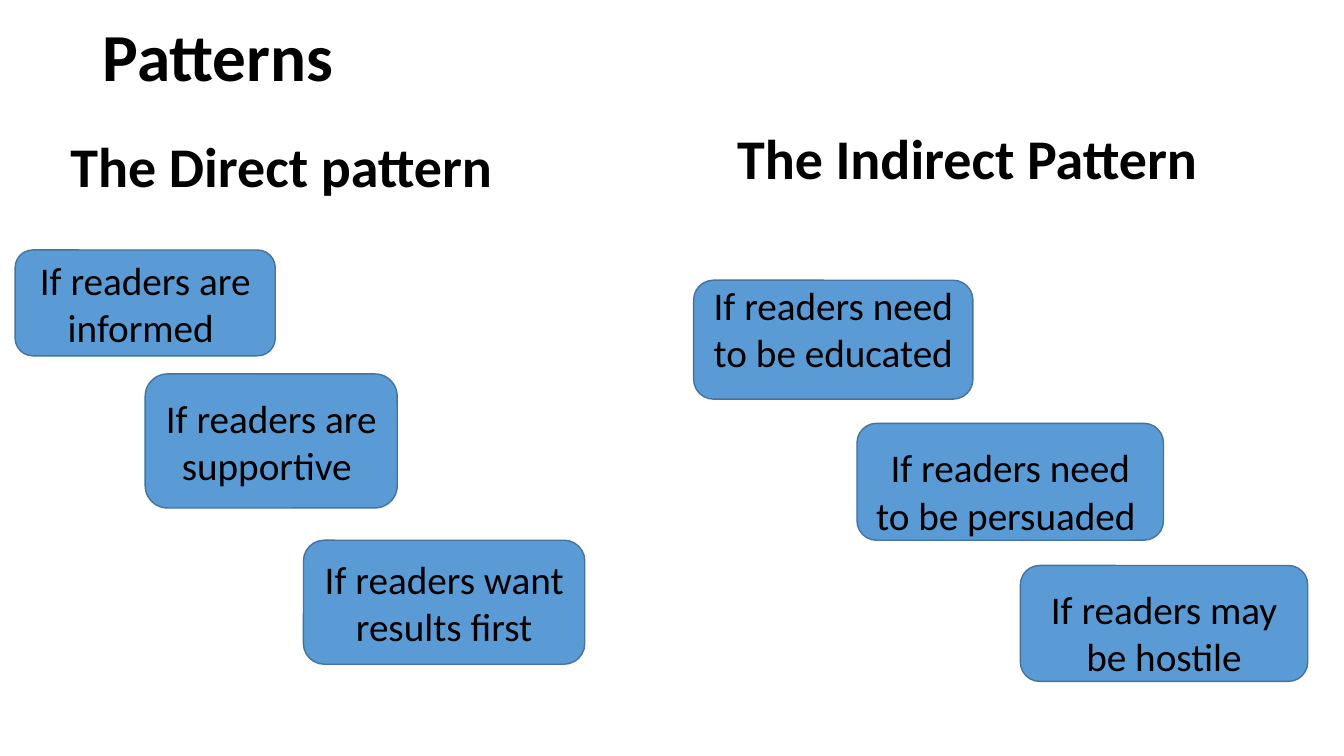
from pptx import Presentation
from pptx.dml.color import RGBColor
from pptx.enum.shapes import MSO_SHAPE
from pptx.enum.text import MSO_ANCHOR, PP_ALIGN
from pptx.util import Pt

PX = 9144
BLACK, BLUE, EDGE = "000000", "5B9BD5", "43739E"


def px(*sizes):
    """Turn px lengths into EMU."""
    return [size * PX for size in sizes]


def color(hue):
    """Turn a hex string into a colour."""
    return RGBColor.from_string(hue)


def write(frame, text, size, align, bold=False):
    """Fill a text frame with one paragraph."""
    frame.word_wrap = True
    para = frame.paragraphs[0]
    para.text = text
    para.alignment = align
    font = para.font
    font.name, font.size, font.bold = "Calibri", Pt(size), bold
    font.color.rgb = color(BLACK)
    return para


def heading(slide, box, text, size, align, anchor):
    """Place a bold heading in its box."""
    frame = slide.shapes.add_textbox(*px(*box)).text_frame
    frame.vertical_anchor = anchor
    write(frame, text, size, align, True).line_spacing = 0.9


def card(slide, box, text, top, bottom):
    """Place a rounded card with the given vertical insets."""
    shape = slide.shapes.add_shape(MSO_SHAPE.ROUNDED_RECTANGLE, *px(*box))
    shape.shadow.inherit = False
    shape.fill.solid()
    shape.fill.fore_color.rgb = color(BLUE)
    shape.line.color.rgb = color(EDGE)
    shape.line.width = Pt(1)
    frame = shape.text_frame
    frame.vertical_anchor = MSO_ANCHOR.MIDDLE
    frame.margin_top, frame.margin_bottom = px(top, bottom)
    write(frame, text, 28, PP_ALIGN.CENTER)


def pattern(slide, box, title, cards):
    """Place a pattern's heading and its steps relative to the box."""
    left, top, width, height = box
    heading(slide, box, title, 40, PP_ALIGN.CENTER, MSO_ANCHOR.TOP)
    for (x, y, w, h), text, over, under in cards:
        card(slide, (left + x, top + y, w, h), text, over, under)


def main():
    """Build the slide and save it."""
    deck = Presentation()
    deck.slide_width, deck.slide_height = px(1333, 750)
    slide = deck.slides.add_slide(deck.slide_layouts[6])
    heading(slide, (92, 40, 1150, 39), "Patterns", 48,
            PP_ALIGN.LEFT, MSO_ANCHOR.MIDDLE)
    pattern(slide, (-22, 133, 602, 62), "The Direct pattern", [
        ((37, 115, 258, 105), "If readers are informed ", 5, 5),
        ((166, 238, 250, 133), "If readers are supportive ", 5, 5),
        ((323, 403, 279, 123), "If readers want results first", 5, 5),
    ])
    pattern(slide, (667, 125, 597, 77), "The Indirect Pattern ", [
        ((21, 153, 277, 118), "If readers need to be educated ", 0, 23),
        ((183, 295, 304, 116), "If readers need to be persuaded ", 18, 0),
        ((345, 436, 285, 115), "If readers may be hostile", 18, 0),
    ])
    deck.save("out.pptx")


if __name__ == "__main__":
    main()
